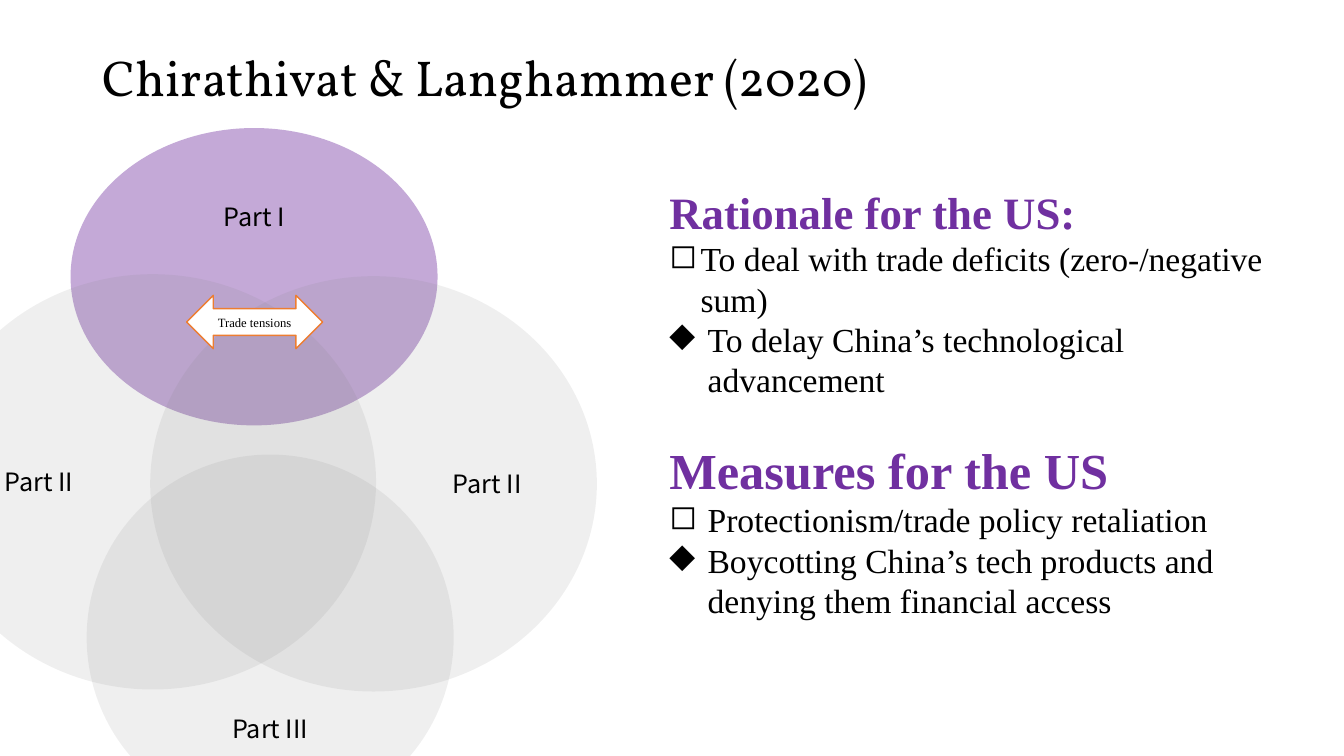
from dataclasses import dataclass
from lxml.etree import SubElement as Sub
from pptx import Presentation
from pptx.dml.color import RGBColor as RGB
from pptx.enum.shapes import MSO_SHAPE as Shape
from pptx.enum.text import MSO_ANCHOR as Anchor, MSO_AUTO_SIZE as Fit, PP_ALIGN as Align
from pptx.oxml.ns import qn
from pptx.util import Inches, Pt

# Content
TITLE = "Chirathivat & Langhammer (2020)"
TENSION = "Trade tensions"
# label, box, colour name, opacity %, alignment, shift of label from centre
CIRCLES = [
    ("Part III", (0.86, 4.51, 3.64, 3.63), "gray", 12, Align.CENTER, 0.9),
    ("Part I", (0.7, 1.27, 3.64, 2.95), "purple", 41, Align.CENTER, -0.6),
    ("Part II", (-0.7, 2.72, 4.43, 4.12), "gray", 12, Align.LEFT, 0),
    ("Part II", (1.49, 2.74, 4.43, 4.12), "gray", 12, Align.RIGHT, 0),
]
# heading, size, space before, points (bullet, indent, text)
BLOCKS = [
    ("Rationale for the US:", 32, 0, [
        ("◻", 0.31, "To deal with trade deficits (zero-/negative sum)"),
        ("◆", 0.38, "To delay China’s technological advancement"),
    ]),
    ("Measures for the US", 36, 28, [
        ("◻", 0.38, "Protectionism/trade policy retaliation"),
        ("◆", 0.38, "Boycotting China’s tech products and denying them financial access"),
    ]),
]


@dataclass
class Theme:
    black: str = "000000"
    white: str = "FFFFFF"
    gray: str = "808080"
    purple: str = "7030A0"
    orange: str = "ED7D31"
    head: str = "Vollkorn"
    body: str = "Times New Roman"
    label: str = "Noto Sans CJK SC"
    title_size: int = 36
    point_size: int = 24
    label_size: int = 18
    arrow_size: int = 9


theme = Theme()


def style(para, face, size, color=theme.black, bold=False):
    for run in para.runs:
        font = run.font
        font.name, font.size, font.bold = face, Pt(size), bold
        font.color.rgb = RGB.from_string(color)
        Sub(font._element, qn("a:ea")).set("typeface", face)


def add_shape(kind, box, fill):
    shape = slide.shapes.add_shape(kind, *map(Inches, box))
    shape.shadow.inherit = False
    shape.fill.solid()
    shape.fill.fore_color.rgb = RGB.from_string(fill)
    shape.text_frame.vertical_anchor = Anchor.MIDDLE
    return shape


def add_bullet(para, mark, indent):
    props = para._p.get_or_add_pPr()
    props.set("marL", str(Inches(indent)))
    props.set("indent", str(-Inches(indent)))
    Sub(props, qn("a:buChar")).set("char", mark)


deck = Presentation()
deck.slide_width, deck.slide_height = Inches(13.33), Inches(7.5)
slide = deck.slides.add_slide(deck.slide_layouts[5])

# Title
title = slide.shapes.title
title.left, title.top, title.width, title.height = map(Inches, (0.92, 0.07, 11.5, 1.45))
frame = title.text_frame
frame.text = TITLE
frame.auto_size = Fit.NONE
frame.vertical_anchor = Anchor.MIDDLE
para = frame.paragraphs[0]
para.alignment, para.line_spacing = Align.LEFT, 0.9
style(para, theme.head, theme.title_size)

# Overlapping circles, labels shifted by an inset of twice the shift
for label, box, color, alpha, align, shift in CIRCLES:
    oval = add_shape(Shape.OVAL, box, getattr(theme, color))
    oval.line.fill.background()
    tint = oval.fill._xPr.find(".//" + qn("a:srgbClr"))
    Sub(tint, qn("a:alpha")).set("val", str(alpha * 1000))
    frame = oval.text_frame
    frame.text = label
    frame.margin_top = Inches(max(2 * shift, 0))
    frame.margin_bottom = Inches(max(-2 * shift, 0))
    frame.paragraphs[0].alignment = align
    style(frame.paragraphs[0], theme.label, theme.label_size)

# Double arrow
arrow = add_shape(Shape.LEFT_RIGHT_ARROW, (1.85, 2.93, 1.35, 0.53), theme.white)
arrow.line.color.rgb = RGB.from_string(theme.orange)
arrow.line.width = Pt(1)
arrow.text_frame.text = TENSION
para = arrow.text_frame.paragraphs[0]
para.alignment = Align.CENTER
style(para, theme.body, theme.arrow_size)

# Headings and points
frame = slide.shapes.add_textbox(*map(Inches, (6.54, 1.78, 6.5, 4.48))).text_frame
frame.word_wrap = True
for n, (head, size, gap, points) in enumerate(BLOCKS):
    para = frame.add_paragraph() if n else frame.paragraphs[0]
    para.text = head
    if gap:
        para.space_before = Pt(gap)
    style(para, theme.body, size, theme.purple, True)
    for mark, indent, text in points:
        para = frame.add_paragraph()
        para.text = text
        add_bullet(para, mark, indent)
        style(para, theme.body, theme.point_size)

deck.save("out.pptx")
